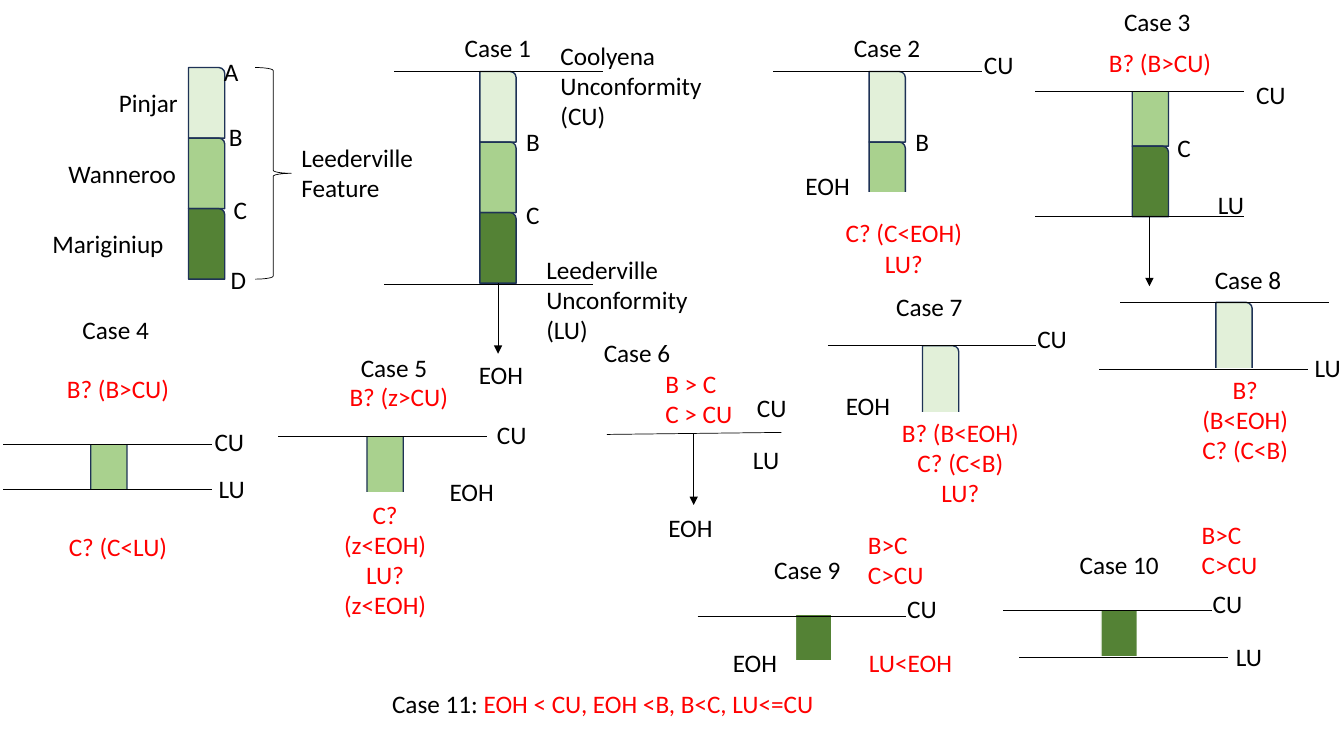
from pptx import Presentation
from pptx.dml.color import RGBColor
from pptx.enum import shapes as sh, text as tx
from pptx.oxml import parse_xml
from pptx.oxml.ns import nsdecls
from pptx.util import Inches, Pt

BLACK, RED, WHITE, NAVY = "000000", "FF0000", "FFFFFF", "1E3256"
PALE, MID, DARK = "E2F0D9", "A9D18E", "548235"
KIND = sh.MSO_SHAPE
WIDE, HIGH = 0.36, 0.7  # one block of a column


def block(kind, x, y, w, h, fill, edge, thick=1):
    """Add a preset shape; a fill of None leaves it hollow."""
    shape = slide.shapes.add_shape(kind, Inches(x), Inches(y), Inches(w), Inches(h))
    shape.shadow.inherit = False
    if fill:
        shape.fill.solid()
        shape.fill.fore_color.rgb = RGBColor.from_string(fill)
    else:
        shape.fill.background()
    shape.line.color.rgb = RGBColor.from_string(edge)
    shape.line.width = Pt(thick)
    return shape


def write(frame, words, hue, align=None):
    """Set the words, one paragraph a line, then format every run."""
    frame.text = words
    for para in frame.paragraphs:
        para.alignment = align
        for run in para.runs:
            run.font.size = Pt(18)
            run.font.name = "Calibri"
            run.font.color.rgb = RGBColor.from_string(hue)


deck = Presentation()
deck.slide_width, deck.slide_height = Inches(13.33), Inches(7.5)
slide = deck.slides.add_slide(deck.slide_layouts[6])

# Columns: left, top, fills from top to bottom, outline
columns = [
    (1.87, 0.67, [PALE, MID, DARK], NAVY),
    (4.76, 0.71, [PALE, MID, DARK], NAVY),
    (8.62, 0.71, [PALE, MID], NAVY),
    (11.23, 0.75, [MID, DARK], NAVY),
    (0.9, 4.32, [MID], NAVY),
    (3.64, 4.24, [MID], NAVY),
    (9.15, 3.43, [PALE], NAVY),
    (12.06, 3, [PALE], NAVY),
    (7.89, 5.96, [DARK], WHITE),
    (10.92, 5.91, [DARK], WHITE),
]
for x, y, fills, edge in columns:
    for row, fill in enumerate(fills):
        block(KIND.ROUND_1_RECTANGLE, x, y + row * HIGH, WIDE, HIGH, fill, edge)

block(KIND.RIGHT_BRACE, 2.53, 0.67, WIDE, 3 * HIGH, None, BLACK, 0.5)

# White panels that trim the columns, some with a red note
MIDDLE, TOP = tx.MSO_ANCHOR.MIDDLE, tx.MSO_ANCHOR.TOP
panels = [
    (8.22, 1.91, 1.49, 1.1, "C? (C<EOH)\nLU?", MIDDLE),
    (10.69, 0.05, 1.41, 0.86, "", MIDDLE),
    (0.56, 3.3, 1.22, 1.1, "B? (B>CU)", MIDDLE),
    (0.55, 4.87, 1.24, 1.1, "C? (C<LU)", MIDDLE),
    (3.3, 3.54, 1.31, 0.78, "B? (z>CU)", MIDDLE),
    (3.3, 4.89, 1.04, 1.32, "C? (z<EOH)\nLU?\n(z<EOH)", MIDDLE),
    (8.83, 4.09, 1.39, 1.75, "B? (B<EOH)\nC? (C<B)\nLU?", TOP),
    (11.74, 3.66, 1.22, 1.75, "B? (B<EOH)\nC? (C<B)", TOP),
    (7.67, 5.84, 0.78, 0.26, "", MIDDLE),
    (7.66, 6.56, 0.86, 0.27, "", MIDDLE),
    (10.7, 5.79, 0.78, 0.26, "", MIDDLE),
    (10.69, 6.52, 0.86, 0.27, "", MIDDLE),
]
for x, y, w, h, note, anchor in panels:
    panel = block(KIND.RECTANGLE, x, y, w, h, WHITE, WHITE)
    if note:
        panel.text_frame.vertical_anchor = anchor
        write(panel.text_frame, note, RED, tx.PP_ALIGN.CENTER)

# Unconformity lines share one length; arrows point down to the end of hole
SPAN, DROP = 2.07, 0.7
levels = [
    (3.91, 0.71), (3.81, 2.82), (7.67, 0.71), (10.27, 0.91), (10.27, 2.15),
    (0.03, 4.41), (0.03, 4.85), (2.76, 4.33), (8.21, 3.43), (11.11, 3),
    (10.9, 3.66), (6.92, 6.11), (9.95, 6.06), (10.11, 6.52),
]
arrows = [(4.94, 2.81), (11.4, 2.14), (6.88, 4.31)]
lines = [(x, y, x + SPAN, y, False) for x, y in levels]
lines.append((6.02, 4.31, 7.75, 4.29, False))
lines += [(x, y, x, y + DROP, True) for x, y in arrows]
for x, y, right, low, head in lines:
    line = slide.shapes.add_connector(
        sh.MSO_CONNECTOR.STRAIGHT, Inches(x), Inches(y), Inches(right), Inches(low))
    line.line.color.rgb = RGBColor.from_string(BLACK)
    line.line.width = Pt(0.5)
    if head:
        line.line._get_or_add_ln().append(
            parse_xml(f'<a:tailEnd {nsdecls("a")} type="triangle"/>'))
    line._element.spPr.append(parse_xml(f'<a:effectLst {nsdecls("a")}/>'))

# Labels: left, top, width, words, colour, wrap
labels = [
    (1.08, 0.82, 0.79, "Pinjar", BLACK, False),
    (0.58, 1.52, 1.28, "Wanneroo", BLACK, False),
    (0.42, 2.22, 1.32, "Mariginiup", BLACK, False),
    (2.89, 1.36, 1.62, "Leederville Feature", BLACK, True),
    (2.21, 0.51, 0.11, "A", BLACK, True),
    (2.27, 1.15, 0.05, "B", BLACK, True),
    (2.22, 1.88, 0.34, "C", BLACK, False),
    (2.19, 2.57, 0.36, "D", BLACK, False),
    (5.46, 0.35, 1.95, "Coolyena Unconformity (CU)", BLACK, True),
    (5.32, 2.47, 1.95, "Leederville Unconformity (LU)", BLACK, True),
    (10.9, 0.42, 1.26, "B? (B>CU)", RED, True),
    (6.5, 3.6, 0.88, "B > C\nC > CU", RED, False),
    (8.51, 5.2, 0.76, "B>C\nC>CU", RED, False),
    (11.82, 5.1, 0.76, "B>C\nC>CU", RED, False),
    (8.52, 6.37, 1.03, "LU<EOH", RED, False),
    (3.79, 6.78, 4.43, "Case 11: ", BLACK, False),
]
titles = [
    (4.51, 0.27), (8.37, 0.27), (11.05, 0.01), (0.72, 3.07), (3.48, 3.45),
    (5.89, 3.3), (8.79, 2.84), (11.95, 2.57), (7.58, 5.45), (10.61, 5.4),
]
for case, (x, y) in enumerate(titles, 1):
    labels.append((x, y, 0.87 if case < 10 else 1, f"Case {case}", BLACK, False))

# Short marks that recur: words, width, places
marks = [
    ("B", 0.34, [(5.12, 1.2), (8.98, 1.2)]),
    ("C", 0.34, [(5.12, 1.93), (11.58, 1.26)]),
    ("CU", 0.5, [(9.66, 0.44), (12.36, 0.74), (2.03, 4.18), (4.83, 4.11),
                 (7.41, 3.84), (10.19, 3.16), (8.9, 5.84), (11.93, 5.79)]),
    ("LU", 0.46, [(11.98, 1.83), (2.07, 4.65), (7.37, 4.36), (12.94, 3.45),
                  (12.16, 6.31)]),
    ("EOH", 0.65, [(4.65, 3.52), (7.89, 1.64), (6.53, 5.03), (4.36, 4.68),
                   (8.29, 3.82), (7.17, 6.37)]),
]
for words, w, places in marks:
    labels += [(x, y, w, words, BLACK, False) for x, y in places]

TALL = {"Leederville Feature": 0.71, "Coolyena Unconformity (CU)": 1.01,
        "Leederville Unconformity (LU)": 1.01}
for x, y, w, words, hue, wrap in labels:
    h = TALL.get(words, 0.71 if "\n" in words else 0.4)
    box = slide.shapes.add_textbox(Inches(x), Inches(y), Inches(w), Inches(h))
    frame = box.text_frame
    frame.word_wrap = wrap
    frame.auto_size = tx.MSO_AUTO_SIZE.SHAPE_TO_FIT_TEXT
    write(frame, words, hue)
    if words.startswith("Case 11"):
        rule = frame.paragraphs[0].add_run()
        rule.text = "EOH < CU, EOH <B, B<C, LU<=CU"
        rule.font.size = Pt(18)
        rule.font.name = "Calibri"
        rule.font.color.rgb = RGBColor.from_string(RED)

deck.save("out.pptx")
